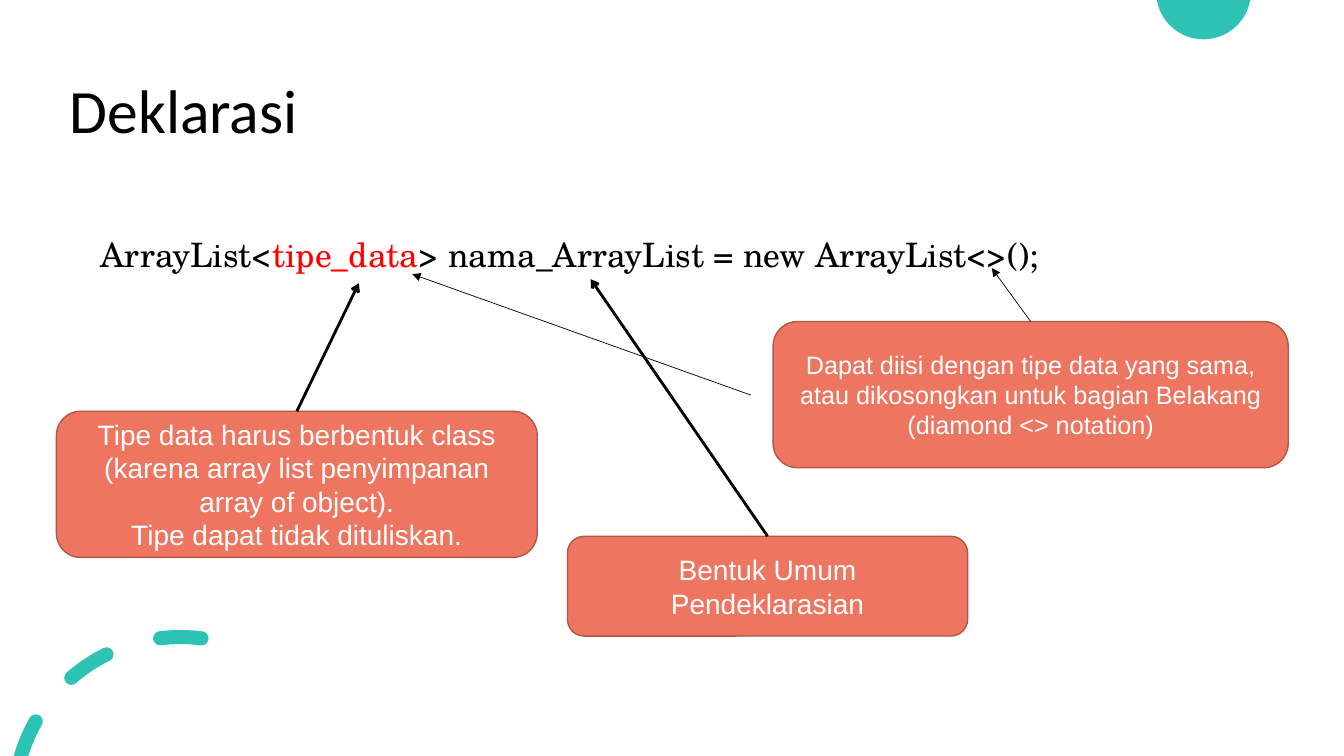
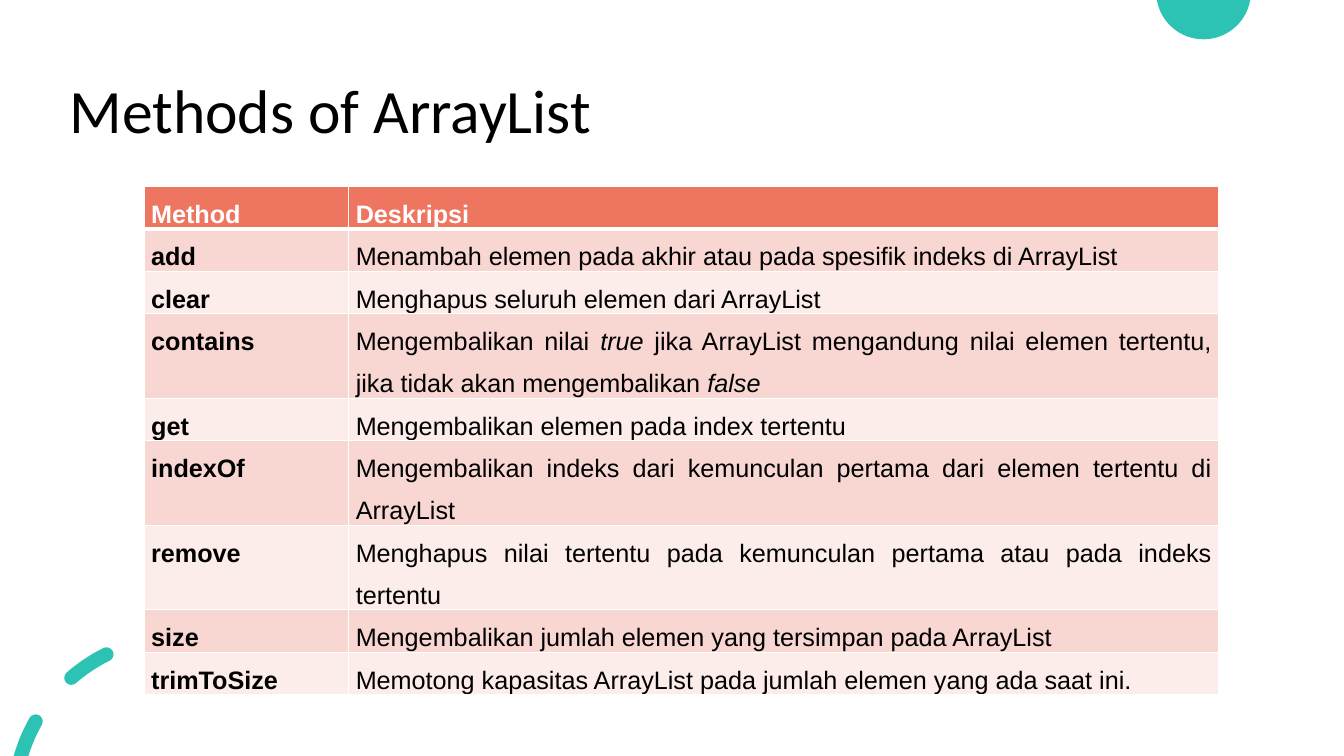
from math import cos, radians, sin, tan

from lxml import etree
from pptx import Presentation
from pptx.dml.color import RGBColor
from pptx.enum.shapes import MSO_CONNECTOR, MSO_SHAPE
from pptx.enum.text import MSO_ANCHOR, PP_ALIGN
from pptx.oxml.ns import qn
from pptx.util import Inches, Pt

STRAIGHT = MSO_CONNECTOR.STRAIGHT
ROUNDED = MSO_SHAPE.ROUNDED_RECTANGLE
MIDDLE = MSO_ANCHOR.MIDDLE
LEFT, CENTER, JUSTIFY = PP_ALIGN.LEFT, PP_ALIGN.CENTER, PP_ALIGN.JUSTIFY

BLACK = RGBColor(0x00, 0x00, 0x00)
WHITE = RGBColor(0xFF, 0xFF, 0xFF)
RED = RGBColor(0xFF, 0x00, 0x00)
TEAL = RGBColor(0x2C, 0xC3, 0xB4)
CORAL = RGBColor(0xEE, 0x76, 0x61)
CORAL_DARK = RGBColor(0xB0, 0x57, 0x48)
BANDS = (RGBColor(0xF8, 0xD6, 0xD2), RGBColor(0xFC, 0xEC, 0xEA))

TITLE_FONT, BODY_FONT, CODE_FONT = "Calibri", "Arial", "TeX Gyre Schola"
SLIDE_W, SLIDE_H = 40 / 3, 7.5

METHODS = [
    ("add", ["Menambah elemen pada akhir atau pada spesifik indeks di ArrayList"]),
    ("clear", ["Menghapus seluruh elemen dari ArrayList"]),
    ("contains", ["Mengembalikan nilai ", "true",
                  " jika ArrayList mengandung nilai elemen tertentu, jika tidak akan mengembalikan ",
                  "false"]),
    ("get", ["Mengembalikan elemen pada index tertentu"]),
    ("indexOf", ["Mengembalikan indeks dari kemunculan pertama dari elemen tertentu di ArrayList"]),
    ("remove", ["Menghapus nilai tertentu pada kemunculan pertama atau pada indeks tertentu"]),
    ("size", ["Mengembalikan jumlah elemen yang tersimpan pada ArrayList"]),
    ("trimToSize", ["Memotong kapasitas ArrayList pada jumlah elemen yang ada saat ini."]),
]


def style_run(r, font, size, color, bold=False, italic=False):
    r.font.name = font
    r.font.size = Pt(size)
    r.font.color.rgb = color
    r.font.bold = bold
    r.font.italic = italic


def arc(cx, cy, radius, start, end, curves=1):
    step = radians(end - start) / curves
    pull = 4 / 3 * tan(step / 4)
    points = []
    for i in range(curves + 1):
        a = radians(start) + i * step
        x, y = cx + radius * sin(a), cy - radius * cos(a)
        dx, dy = pull * radius * cos(a), pull * radius * sin(a)
        points += [(x - dx, y - dy), (x, y), (x + dx, y + dy)]
    return points[1:-1]


def dash(cx, cy, radius, half, start, end):
    x0, y0 = cx + radius * sin(radians(start)), cy - radius * cos(radians(start))
    x1, y1 = cx + radius * sin(radians(end)), cy - radius * cos(radians(end))
    return (arc(cx, cy, radius + half, start, end)
            + arc(x1, y1, half, end, end + 180, 2)[1:]
            + arc(cx, cy, radius - half, end, start)[1:]
            + arc(x0, y0, half, start + 180, start + 360, 2)[1:])


def cut_dash(cx, cy, radius, half, end):
    x1, y1 = cx + radius * sin(radians(end)), cy - radius * cos(radians(end))
    return (arc(cx, cy, radius + half, -74.1, end)
            + arc(x1, y1, half, end, end + 180, 2)[1:]
            + arc(cx, cy, radius - half, end, -72.7)[1:])


def add_curves(s, contours):
    contours = [[(Inches(x), Inches(y)) for x, y in points] for points in contours]
    builder = s.shapes.build_freeform(*contours[0][0])
    for i, points in enumerate(contours):
        if i:
            builder.move_to(*points[0])
        builder.add_line_segments(points[1:], close=True)
    sp = builder.convert_to_shape()
    segments = list(sp.element.iter(qn("a:lnTo")))
    for i in range(0, len(segments), 3):
        curve = etree.Element(qn("a:cubicBezTo"))
        segments[i].addprevious(curve)
        for segment in segments[i:i + 3]:
            curve.append(segment[0])
            segment.getparent().remove(segment)
    sp.shadow.inherit = False
    sp.fill.solid()
    sp.fill.fore_color.rgb = TEAL
    sp.line.fill.background()
    return sp


def decorate_layout(layout, s):
    ring = (1.79, 7.97, 1.65, 0.07)
    half_disc = [arc(11.94, -0.08, 0.47, 100, 260, 2)]
    dashes = [cut_dash(*ring, -60.5), dash(*ring, -41, -26.4), dash(*ring, -7, 7.3)]
    for number, contours in enumerate((half_disc, dashes)):
        sp = add_curves(s, contours)
        sp.element.nvSpPr.cNvPr.set("id", str(20 + number))
        layout.shapes.element.append(sp.element)


def add_title(s, text):
    sp = s.shapes.title
    sp.left, sp.top, sp.width, sp.height = (Inches(v) for v in (0.59, 0.4, 11.5, 1.45))
    tf = sp.text_frame
    tf.text = text
    tf.vertical_anchor = MIDDLE
    p = tf.paragraphs[0]
    p.alignment = LEFT
    p.line_spacing = 0.9
    style_run(p.runs[0], TITLE_FONT, 44, BLACK)


def add_code(s, x, y, w, h, parts):
    tf = s.shapes.add_textbox(Inches(x), Inches(y), Inches(w), Inches(h)).text_frame
    tf.word_wrap = False
    for text, color in parts:
        r = tf.paragraphs[0].add_run()
        r.text = text
        style_run(r, CODE_FONT, 24, color)


def add_callout(s, x, y, w, h, lines, size):
    sp = s.shapes.add_shape(ROUNDED, Inches(x), Inches(y), Inches(w), Inches(h))
    sp.shadow.inherit = False
    sp.fill.solid()
    sp.fill.fore_color.rgb = CORAL
    sp.line.color.rgb = CORAL_DARK
    sp.line.width = Pt(1)
    tf = sp.text_frame
    tf.word_wrap = True
    tf.vertical_anchor = MIDDLE
    tf.text = "\n".join(lines)
    for p in tf.paragraphs:
        p.alignment = CENTER
        style_run(p.runs[0], BODY_FONT, size, WHITE)
    return sp


def add_arrow(s, start, end, width, head, source=None):
    line = s.shapes.add_connector(STRAIGHT, *(Inches(v) for v in start + end))
    if source is not None:
        line.begin_connect(source, 0)
    line.line.color.rgb = BLACK
    line.line.width = Pt(width)
    etree.SubElement(line.line._get_or_add_ln(), qn("a:tailEnd"), type=head)
    etree.SubElement(line.element.spPr, qn("a:effectLst"))


def set_borders(cell, top, bottom):
    tc_pr = cell._tc.get_or_add_tcPr()
    for side, width in (("L", 1), ("R", 1), ("T", top), ("B", bottom)):
        ln = etree.SubElement(tc_pr, qn("a:ln" + side), w=str(Pt(width)))
        fill = etree.SubElement(ln, qn("a:solidFill"))
        etree.SubElement(fill, qn("a:srgbClr"), val=str(WHITE))


def fill_cell(cell, parts, fill, color, bold, top, bottom):
    set_borders(cell, top, bottom)
    cell.fill.solid()
    cell.fill.fore_color.rgb = fill
    cell.margin_left = cell.margin_right = Inches(0.07)
    cell.margin_top = cell.margin_bottom = 0
    p = cell.text_frame.paragraphs[0]
    p.alignment = JUSTIFY
    p.line_spacing = 1.5
    for i, text in enumerate(parts):
        r = p.add_run()
        r.text = text
        style_run(r, BODY_FONT, 18, color, bold, italic=i % 2 == 1)


def add_method_table(s, x, y, col_widths, row_h):
    rows = [("Method", ["Deskripsi"])] + METHODS
    table = s.shapes.add_table(len(rows), 2, Inches(x), Inches(y),
                               Inches(sum(col_widths)), Inches(row_h * len(rows))).table
    for col, width in zip(table.columns, col_widths):
        col.width = Inches(width)
    for i, (name, description) in enumerate(rows):
        table.rows[i].height = Inches(row_h)
        header = i == 0
        fill = CORAL if header else BANDS[(i - 1) % 2]
        color = WHITE if header else BLACK
        top, bottom = 3 if i == 1 else 1, 3 if header else 1
        fill_cell(table.cell(i, 0), [name], fill, color, True, top, bottom)
        fill_cell(table.cell(i, 1), description, fill, color, header, top, bottom)


def build_declaration(s):
    add_title(s, "Deklarasi")
    add_code(s, 0.9, 2.27, 9.73, 0.5, [
        ("ArrayList<", BLACK), ("tipe_data", RED),
        ("> nama_ArrayList = new ArrayList<>();", BLACK)])
    general = add_callout(s, 5.63, 5.32, 3.97, 0.99, ["Bentuk Umum Pendeklarasian"], 20)
    add_arrow(s, (7.62, 5.32), (5.86, 2.77), 2, "arrow", general)
    data_type = add_callout(s, 0.56, 4.08, 4.77, 1.45, [
        "Tipe data harus berbentuk class (karena array list penyimpanan array of object).",
        "Tipe dapat tidak dituliskan."], 20)
    add_arrow(s, (2.94, 4.08), (3.56, 2.81), 2, "arrow", data_type)
    diamond = add_callout(s, 7.67, 3.19, 5.11, 1.45, [
        "Dapat diisi dengan tipe data yang sama, atau dikosongkan untuk bagian Belakang "
        "(diamond <> notation)"], 18)
    add_arrow(s, (10.22, 3.19), (9.84, 2.66), 0.5, "triangle", diamond)
    add_arrow(s, (7.45, 3.92), (4.09, 2.72), 0.5, "triangle")


def build_methods(s):
    add_title(s, "Methods of ArrayList")
    add_method_table(s, 1.43, 1.85, (2.03, 8.63), 0.41)


def main():
    prs = Presentation()
    prs.slide_width, prs.slide_height = Inches(SLIDE_W), Inches(SLIDE_H)
    layout = prs.slide_layouts[5]
    declaration, methods = (prs.slides.add_slide(layout) for _ in range(2))
    decorate_layout(layout, declaration)
    build_declaration(declaration)
    build_methods(methods)
    prs.save("out.pptx")


if __name__ == "__main__":
    main()
